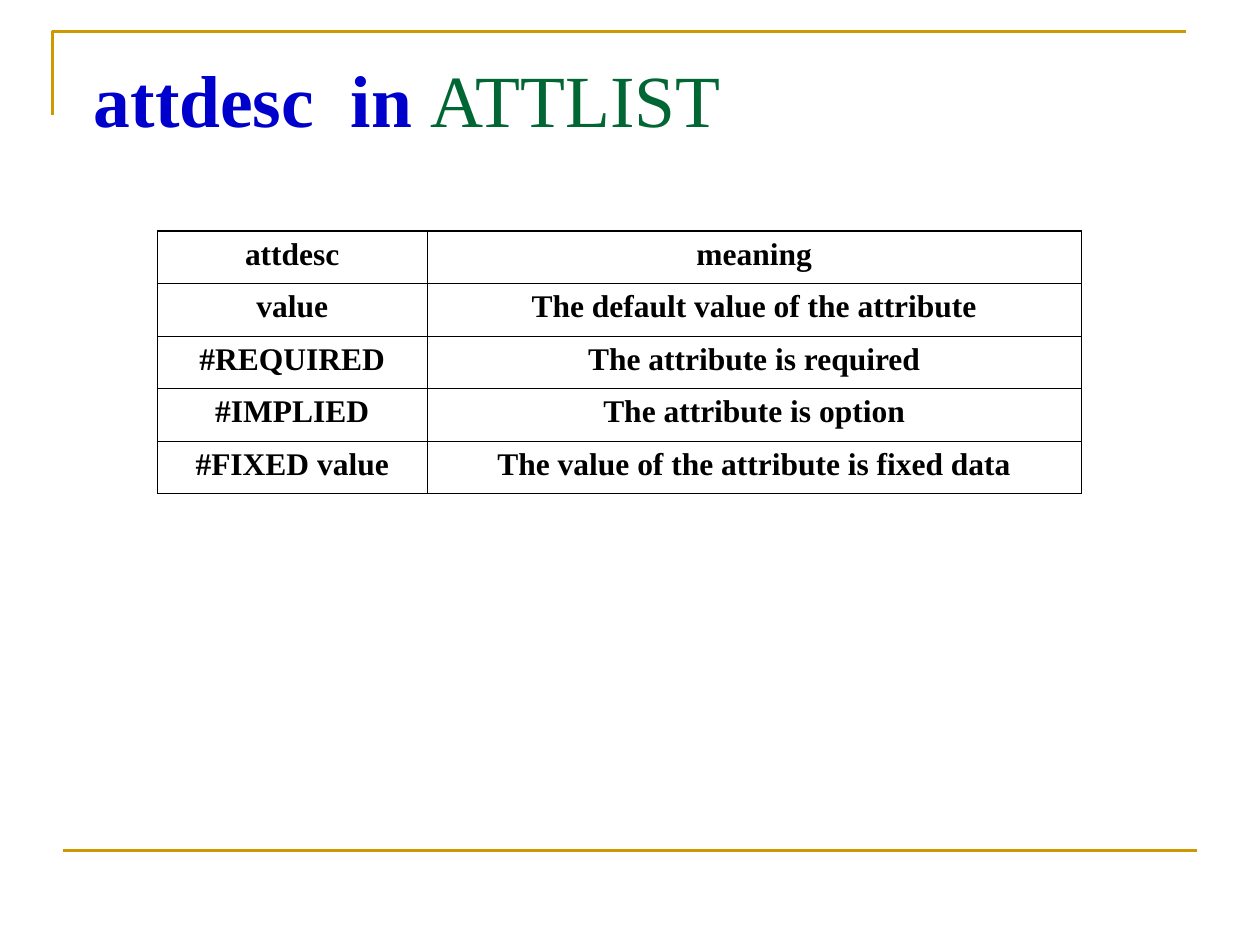
from pptx import Presentation
from pptx.dml.color import RGBColor
from pptx.enum.shapes import MSO_CONNECTOR as Conn
from pptx.enum.text import MSO_ANCHOR as Anchor, PP_ALIGN as Align
from pptx.oxml.ns import qn
from pptx.util import Pt
from lxml.etree import SubElement

COLORS = {"gold": "CC9900", "green": "006633", "blue": "0000CC", "black": "000000"}
ROWS = [
    ("attdesc", "meaning"),
    ("value", "The default value of the attribute"),
    ("#REQUIRED", "The attribute is required"),
    ("#IMPLIED", "The attribute is option"),
    ("#FIXED value", "The value of the attribute is fixed data"),
]


class Deck:
    """Holds the style and the current slide, and draws each kind of element."""

    font = "Times New Roman"
    rule = 1.5
    outer, inner = 0.96, 0.45

    def __init__(self, width, height):
        self.prs = Presentation()
        self.prs.slide_width, self.prs.slide_height = Pt(width), Pt(height)
        self.s = self.prs.slides.add_slide(self.prs.slide_layouts[6])

    def color(self, name):
        return RGBColor.from_string(COLORS[name])

    def stroke(self, line, color):
        line.color.rgb = self.color(color)
        line.width = Pt(self.rule)

    def corner(self, points, color):
        (x, y), *rest = [(Pt(a), Pt(b)) for a, b in points]
        fb = self.s.shapes.build_freeform(x, y)
        fb.add_line_segments(rest, close=False)
        sp = fb.convert_to_shape()
        sp.shadow.inherit = False
        sp.fill.background()
        self.stroke(sp.line, color)

    def line(self, x1, y1, x2, y2, color):
        sp = self.s.shapes.add_connector(Conn.STRAIGHT, Pt(x1), Pt(y1), Pt(x2), Pt(y2))
        self.stroke(sp.line, color)
        SubElement(sp._element.spPr, qn("a:effectLst"))

    def title(self, x, y, w, h, runs, size):
        tf = self.s.shapes.add_textbox(Pt(x), Pt(y), Pt(w), Pt(h)).text_frame
        tf.word_wrap = True
        tf.vertical_anchor = Anchor.TOP
        tf.margin_left, tf.margin_top = Pt(17.7), Pt(9)
        p = tf.paragraphs[0]
        p.font.name, p.font.size = self.font, Pt(size)
        for text, color, bold in runs:
            r = p.add_run()
            r.text = text
            r.font.bold = bold
            r.font.color.rgb = self.color(color)

    def borders(self, cell, widths, color):
        tcPr = cell._tc.get_or_add_tcPr()
        for side, width in widths.items():
            ln = SubElement(tcPr, qn(f"a:ln{side}"), w=str(Pt(width)))
            fill = SubElement(ln, qn("a:solidFill"))
            SubElement(fill, qn("a:srgbClr"), val=COLORS[color])

    def table(self, x, y, col_widths, row_height, rows, size, color):
        n, m = len(rows), len(col_widths)
        frame = self.s.shapes.add_table(
            n, m, Pt(x), Pt(y), Pt(sum(col_widths)), Pt(row_height * n))
        table = frame.table
        table.first_row = table.horz_banding = False
        for col, width in zip(table.columns, col_widths):
            col.width = Pt(width)
        for i, row in enumerate(rows):
            table.rows[i].height = Pt(row_height)
            for j, text in enumerate(row):
                cell = table.cell(i, j)
                edges = {"L": j == 0, "R": j == m - 1, "T": i == 0, "B": i == n - 1}
                widths = {k: self.outer if e else self.inner for k, e in edges.items()}
                self.borders(cell, widths, color)
                cell.fill.background()
                cell.text = text
                p = cell.text_frame.paragraphs[0]
                p.alignment = Align.CENTER
                p.font.name, p.font.size, p.font.bold = self.font, Pt(size), True
                p.font.color.rgb = self.color(color)


def main():
    deck = Deck(720, 540)
    deck.corner([(30, 66), (30, 18), (678, 18)], "gold")
    deck.line(36, 486, 684, 486, "gold")
    deck.title(36, 21.6, 648, 90,
               [("attdesc  in ", "blue", True), ("ATTLIST", "green", False)], 42)
    deck.table(90, 132, [154, 374], 30, ROWS, 18, "black")
    deck.prs.save("out.pptx")


if __name__ == "__main__":
    main()
